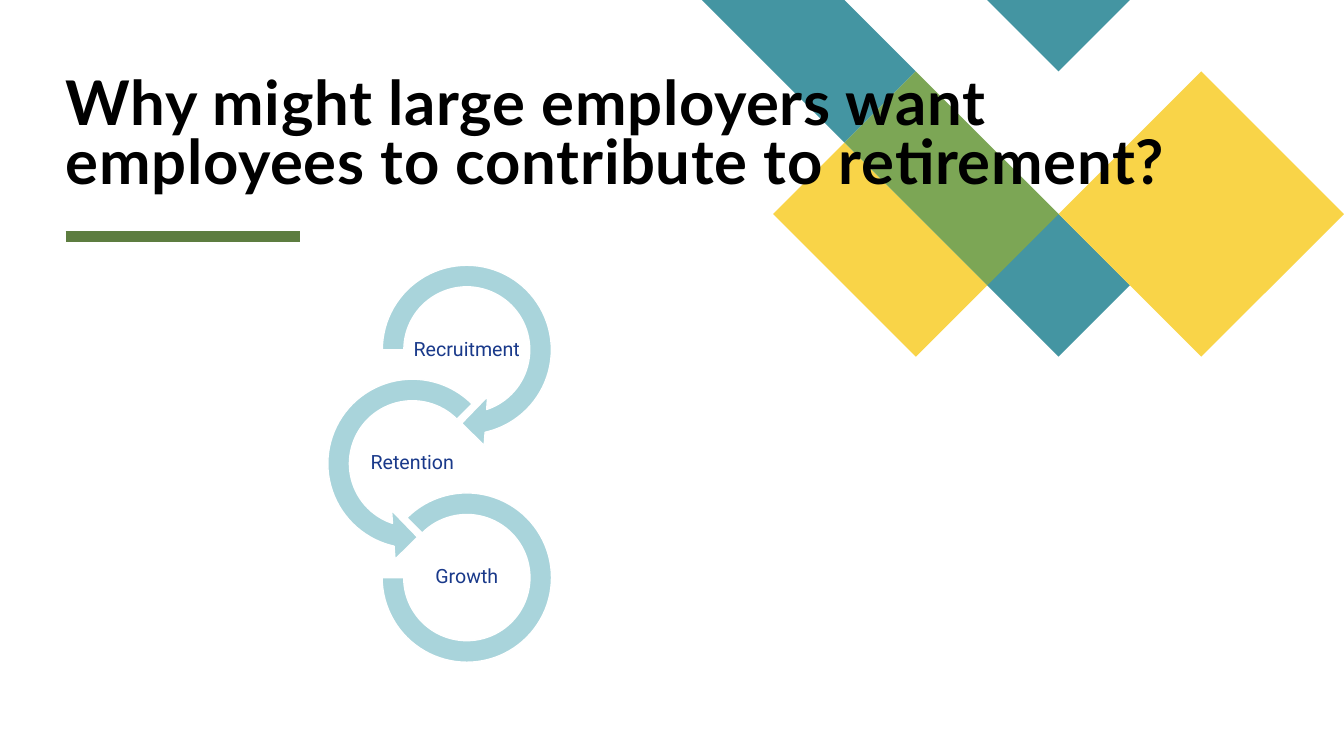
from lxml import etree
from pptx import Presentation
from pptx.dml.color import RGBColor
from pptx.enum import shapes, text
from pptx.oxml.ns import qn
from pptx.util import Inches, Pt

TITLE = "Why might large employers want employees to contribute to retirement?"
TEAL, YELLOW, GREEN = "4495A2", "F9D448", "7CA655"
RULE, RING, LABEL, WHITE, BLACK = "5D7D40", "A9D4DB", "19398A", "FFFFFF", "000000"

# Corner pattern: colour and corners, counted in grid steps
PATTERN_LEFT, STEP = 6.96, Inches(6.37) / 9
PATTERN = [
    (TEAL, [(0, 0), (2, 0), (3, 1), (2, 2)]),
    (TEAL, [(5, 3), (6, 4), (5, 5), (4, 4)]),
    (YELLOW, [(2, 2), (4, 4), (3, 5), (1, 3)]),
    (TEAL, [(4, 0), (6, 0), (5, 1)]),
    (GREEN, [(3, 1), (5, 3), (4, 4), (2, 2)]),
    (YELLOW, [(7, 1), (9, 3), (7, 5), (5, 3)]),
]

# Chain of rings: label, preset, centre x, diameter, adjustments
KIND = shapes.MSO_SHAPE
RINGS = [
    ("Recruitment", KIND.CIRCULAR_ARROW, 4.63, 1.95, (0.1098, 11.423, 45, 108, 0.125)),
    ("Retention", KIND.LEFT_CIRCULAR_ARROW, 4.09, 1.95, (0.1098, 11.423, 63, 189, 0.125)),
    ("Growth", KIND.BLOCK_ARC, 4.63, 1.68, (135, 108, 0.1274)),
]
FIRST_CENTRE, RING_GAP = 3.47, 1.12
LABEL_WIDTH, LABEL_HEIGHT = 1.09, 0.54


def colour(hex_code):
    return RGBColor.from_string(hex_code)


def paint(shape, fill, outline=None):
    shape.shadow.inherit = False
    shape.fill.solid()
    shape.fill.fore_color.rgb = colour(fill)
    if outline:
        shape.line.color.rgb = colour(outline)
        shape.line.width = Pt(1)
    else:
        shape.line.fill.background()


def write(box, words, font, size, ink, anchor, spacing, inset=0):
    left, top, width, height = (Inches(v) for v in box)
    frame = slide.shapes.add_textbox(left, top, width, height).text_frame
    frame.word_wrap = True
    frame.vertical_anchor = anchor
    frame.margin_left = frame.margin_right = Inches(inset)
    frame.margin_top = frame.margin_bottom = Inches(inset)
    paragraph = frame.paragraphs[0]
    paragraph.line_spacing = spacing
    run = paragraph.add_run()
    run.text = words
    run.font.name = font
    run.font.size = Pt(size)
    run.font.color.rgb = colour(ink)
    return paragraph, run


deck = Presentation()
deck.slide_width, deck.slide_height = Inches(13.33), Inches(7.5)
slide = deck.slides.add_slide(deck.slide_layouts[6])

# Corner pattern
for fill, corners in PATTERN:
    outline = slide.shapes.build_freeform(*corners[0], scale=STEP)
    outline.add_line_segments(corners[1:], close=True)
    paint(outline.convert_to_shape(Inches(PATTERN_LEFT), 0), fill)

# Rule under the title
rule = slide.shapes.add_connector(
    shapes.MSO_CONNECTOR.STRAIGHT, Inches(0.65), Inches(2.35), Inches(2.98), Inches(2.35))
rule.line.color.rgb = colour(RULE)
rule.line.width = Pt(8)
etree.SubElement(rule._element.spPr, qn("a:effectLst"))

# Title
_, title = write((0.65, 0.21, 11.91, 1.74), TITLE, "Lato", 44, BLACK,
                 text.MSO_ANCHOR.BOTTOM, 0.8)
title.font.bold = True
title.font._element.set("spc", "50")

# Rings with their labels
for i, (label, preset, centre_x, size, adjustments) in enumerate(RINGS):
    centre_y = FIRST_CENTRE + i * RING_GAP
    ring = slide.shapes.add_shape(
        preset, Inches(centre_x - size / 2), Inches(centre_y + 0.01 * i - size / 2),
        Inches(size), Inches(size))
    for n, value in enumerate(adjustments):
        ring.adjustments[n] = value
    paint(ring, RING, WHITE)
    box = (centre_x - LABEL_WIDTH / 2, centre_y + 0.01 * i - LABEL_HEIGHT / 2,
           LABEL_WIDTH, LABEL_HEIGHT)
    paragraph, _ = write(box, label, "Roboto", 14, LABEL,
                         text.MSO_ANCHOR.MIDDLE, 0.9, 0.01)
    paragraph.alignment = text.PP_ALIGN.CENTER

deck.save("out.pptx")
